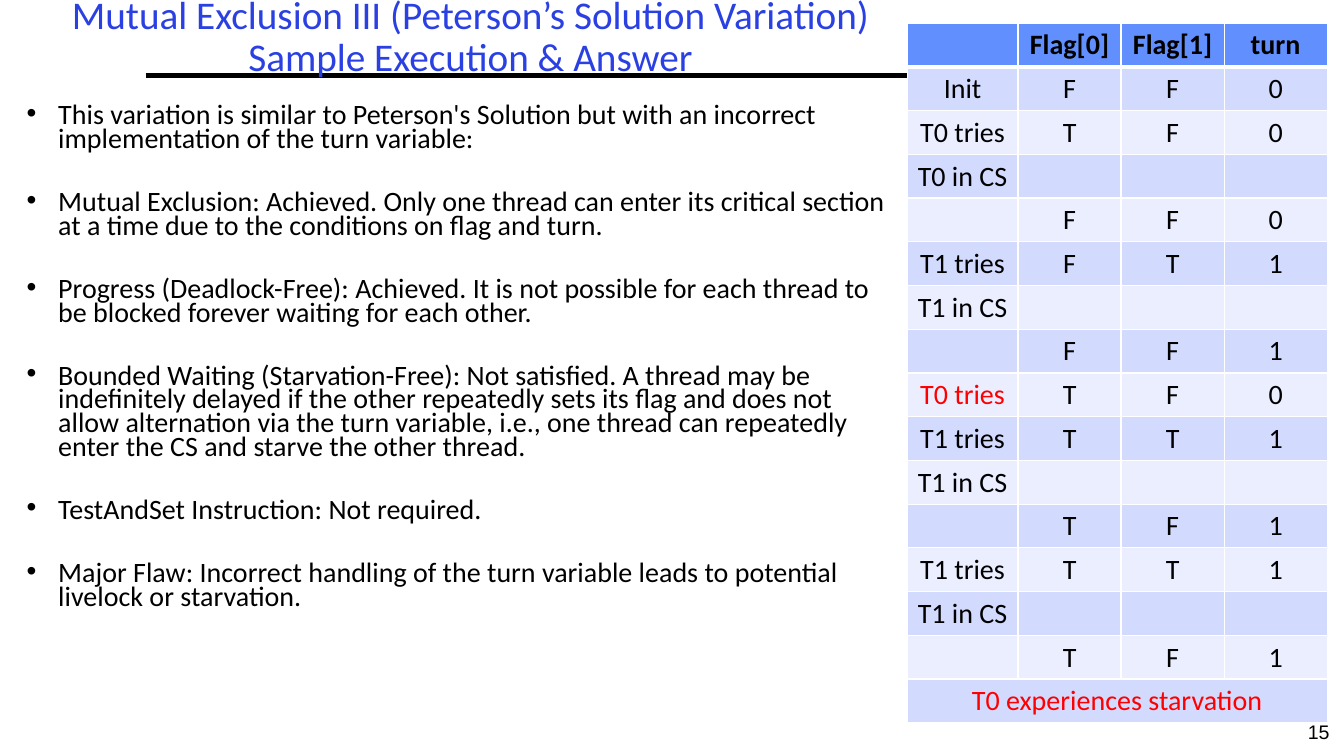
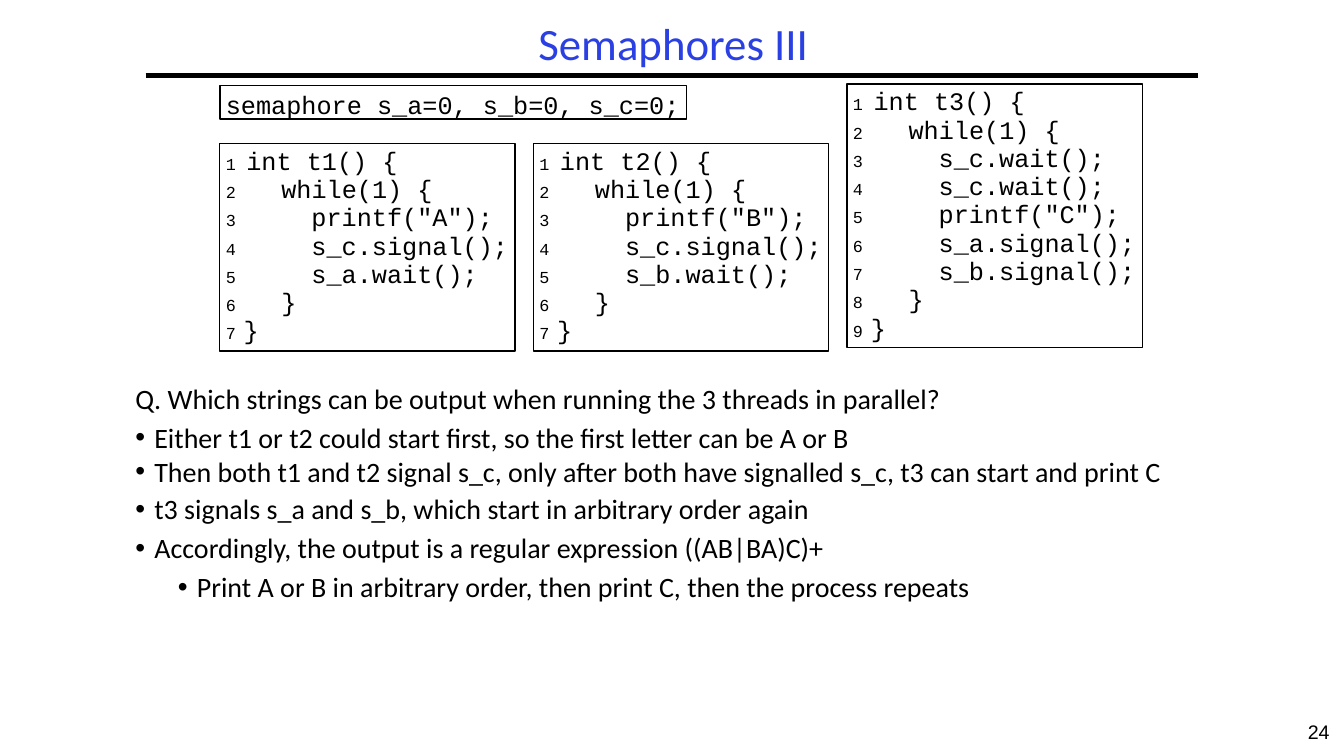
from lxml import etree
from pptx import Presentation
from pptx.dml.color import RGBColor
from pptx.enum import shapes, text
from pptx.oxml import ns
from pptx.util import Pt

BLUE = RGBColor(0x2A, 0x40, 0xE2)
BLACK = RGBColor(0, 0, 0)
RED = RGBColor(0xFF, 0, 0)
HEAD = RGBColor(0x61, 0x8F, 0xFD)
BANDS = RGBColor(0xD2, 0xDB, 0xFE), RGBColor(0xEA, 0xEE, 0xFF)
EDGE = "FFFFFF"

BODY = {"name": "Calibri", "size": Pt(20), "tint": BLACK}
CODE = {"name": "Courier New", "size": Pt(18), "tint": BLACK}
FOOT = {"name": "Arial", "size": Pt(14), "tint": BLACK}
MID = {"alignment": text.PP_ALIGN.CENTER}
PAD = (7.2, 3.6, 7.2, 3.6)


def node(tag, root, **attrs):
    return etree.SubElement(root, ns.qn(tag), attrs)


def adjust(item, form):
    for key, val in form.items():
        setattr(item, key, val)


class Deck:
    def __init__(self):
        self.show = Presentation()
        self.show.slide_width, self.show.slide_height = Pt(960), Pt(540)
        self.slide = None

    def page(self, num):
        self.slide = self.show.slides.add_slide(self.show.slide_layouts[6])
        rule = self.slide.shapes.add_connector(
            shapes.MSO_CONNECTOR.STRAIGHT, Pt(104), Pt(54), Pt(856), Pt(54))
        rule.line.color.rgb = BLACK
        rule.line.width = Pt(3)
        node("a:effectLst", rule._element.spPr)
        self.label((924, 511, 36, 29), num, FOOT, MID)

    def frame(self, shape, pad, anchor=text.MSO_ANCHOR.TOP):
        frame = shape.text_frame
        sides = ("margin_left", "margin_top", "margin_right", "margin_bottom")
        adjust(frame, dict(zip(sides, map(Pt, pad))))
        adjust(frame, {"word_wrap": True, "vertical_anchor": anchor})
        return frame

    def area(self, at, pad=PAD, anchor=text.MSO_ANCHOR.TOP):
        return self.frame(self.slide.shapes.add_textbox(*map(Pt, at)), pad, anchor)

    def phrase(self, par, words, look, form):
        adjust(par, form)
        run = par.add_run()
        run.text = words
        for key, val in look.items():
            if key == "tint":
                run.font.color.rgb = val
            else:
                setattr(run.font, key, val)

    def label(self, at, words, look, form, anchor=text.MSO_ANCHOR.TOP):
        frame = self.area(at, PAD, anchor)
        self.phrase(frame.paragraphs[0], words, look, form)

    def title(self, at, words, size):
        look = {"name": "Calibri", "size": Pt(size), "tint": BLUE}
        self.label(at, words, look, {**MID, "line_spacing": 0.9},
                   text.MSO_ANCHOR.MIDDLE)

    def lines(self, frame, rows, look):
        for pos, (words, left, hang, mark, form) in enumerate(rows):
            par = frame.add_paragraph() if pos else frame.paragraphs[0]
            prop = par._p.get_or_add_pPr()
            prop.set("marL", str(Pt(left)))
            prop.set("indent", str(Pt(-hang)))
            if mark == "•":
                node("a:buFont", prop, typeface="Arial")
                node("a:buChar", prop, char=mark)
            elif mark:
                node("a:buSzPct", prop, val="67000")
                node("a:buAutoNum", prop, type=mark)
            self.phrase(par, words, look, form)

    def box(self, at, rows):
        rect = self.slide.shapes.add_shape(
            shapes.MSO_SHAPE.RECTANGLE, *map(Pt, at))
        rect.shadow.inherit = False
        rect.fill.background()
        rect.line.color.rgb = BLACK
        rect.line.width = Pt(1)
        self.lines(self.frame(rect, (0, 2.5, 0, 0)), rows, CODE)

    def code(self, left, top, name, calls):
        rows = [(f"int {name}() {{", 19), ("while(1) {", 44)]
        rows += [(call, 65.5) for call in calls] + [("}", 44), ("}", 17)]
        form = {"alignment": text.PP_ALIGN.LEFT, "line_spacing": Pt(20.2)}
        self.box((left, top, 211, 7.5 + 20.1 * len(rows)),
                 [(words, ind, ind - 4.3, "arabicPlain", form)
                  for words, ind in rows])

    def cell(self, cell, words, fill, look, top, base):
        prop = cell._tc.get_or_add_tcPr()
        for side, wide in zip("LRTB", (1, 1, top, base)):
            line = node(f"a:ln{side}", prop, w=str(Pt(wide)))
            node("a:srgbClr", node("a:solidFill", line), val=EDGE)
        cell.fill.solid()
        cell.fill.fore_color.rgb = fill
        if words:
            self.phrase(cell.text_frame.paragraphs[0], words, look, MID)

    def table(self, at, cols, rows, reds):
        grid = self.slide.shapes.add_table(
            len(rows), len(cols), *map(Pt, at)).table
        adjust(grid, {"first_row": False, "horz_banding": False})
        for col, wide in zip(grid.columns, cols):
            col.width = Pt(wide)
        for r, row in enumerate(rows):
            fill = BANDS[(r - 1) % 2] if r else HEAD
            for c, words in enumerate(row):
                tint = RED if (r, c) in reds else BLACK
                self.cell(grid.cell(r, c), words, fill,
                          {**BODY, "bold": r == 0, "tint": tint},
                          3 if r == 1 else 1, 1 if r else 3)
        last = len(rows) - 1
        grid.cell(last, 0).merge(grid.cell(last, len(cols) - 1))


def peterson(deck):
    deck.page("15")
    deck.title((24, 6, 624, 42), "Mutual Exclusion III (Peterson’s Solution "
               "Variation) Sample Execution & Answer", 28)
    points = (
        "This variation is similar to Peterson's Solution but with an incorrect "
        "implementation of the turn variable:",
        "Mutual Exclusion: Achieved. Only one thread can enter its critical "
        "section at a time due to the conditions on flag and turn.",
        "Progress (Deadlock-Free): Achieved. It is not possible for each thread "
        "to be blocked forever waiting for each other.",
        "Bounded Waiting (Starvation-Free): Not satisfied. A thread may be "
        "indefinitely delayed if the other repeatedly sets its flag and does not "
        "allow alternation via the turn variable, i.e., one thread can repeatedly "
        "enter the CS and starve the other thread.",
        "TestAndSet Instruction: Not required.",
        "Major Flaw: Incorrect handling of the turn variable leads to potential "
        "livelock or starvation.",
    )
    rows = [(words, 22.5, 22.5, "•",
             {"line_spacing": 0.7, "space_before": Pt(28.5 if pos else 0)})
            for pos, words in enumerate(points)]
    deck.lines(deck.area((12, 72, 636, 420)), rows, BODY)

    none = ("", "", "")
    steps = [("", "Flag[0]", "Flag[1]", "turn"),
             ("Init", *"FF0"),
             ("T0 tries", *"TF0"), ("T0 in CS", *none), ("", *"FF0"),
             ("T1 tries", *"FT1"), ("T1 in CS", *none), ("", *"FF1"),
             ("T0 tries", *"TF0"),
             *[("T1 tries", *"TT1"), ("T1 in CS", *none), ("", *"TF1")] * 2,
             ("T0 experiences starvation", *none)]
    deck.table((648, 16.5, 300, 499.2), (79.2, 73.6, 73.6, 73.6), steps,
               {(8, 0), (15, 0)})


def semaphores(deck):
    deck.page("24")
    deck.title((104, 13, 754, 40), "Semaphores III", 32)
    deck.box((157, 61, 333.5, 24),
             [("semaphore s_a=0, s_b=0, s_c=0;", 4.3, 0, "",
               {"alignment": text.PP_ALIGN.LEFT})])
    tops = 102.5, 102.5, 60
    calls = (
        ('printf("A");', "s_c.signal();", "s_a.wait();"),
        ('printf("B");', "s_c.signal();", "s_b.wait();"),
        ("s_c.wait();", "s_c.wait();", 'printf("C");',
         "s_a.signal();", "s_b.signal();"),
    )
    for pos, (top, body) in enumerate(zip(tops, calls)):
        deck.code(157 + 224 * pos, top, f"t{pos + 1}", body)

    points = (
        ("Q. Which strings can be output when running the 3 threads in parallel?",
         0.7, 0, "", 0),
        ("Either t1 or t2 could start first, so the first letter can be A or B",
         14.2, 13.5, "•", 3.7),
        ("Then both t1 and t2 signal s_c, only after both have signalled s_c, "
         "t3 can start and print C", 14.2, 13.5, "•", 0.3),
        ("t3 signals s_a and s_b, which start in arbitrary order again",
         14.2, 13.5, "•", 3.1),
        ("Accordingly, the output is a regular expression ((AB|BA)C)+",
         14.2, 13.5, "•", 3.7),
        ("Print A or B in arbitrary order, then print C, then the process repeats",
         44.6, 13.5, "•", 3.7),
    )
    rows = [(*item, {"space_before": Pt(gap)}) for *item, gap in points]
    deck.lines(deck.area((96, 268, 768, 166), (0, 4.3, 0, 0)), rows, BODY)


def main():
    deck = Deck()
    peterson(deck)
    semaphores(deck)
    deck.show.save("out.pptx")


if __name__ == "__main__":
    main()
